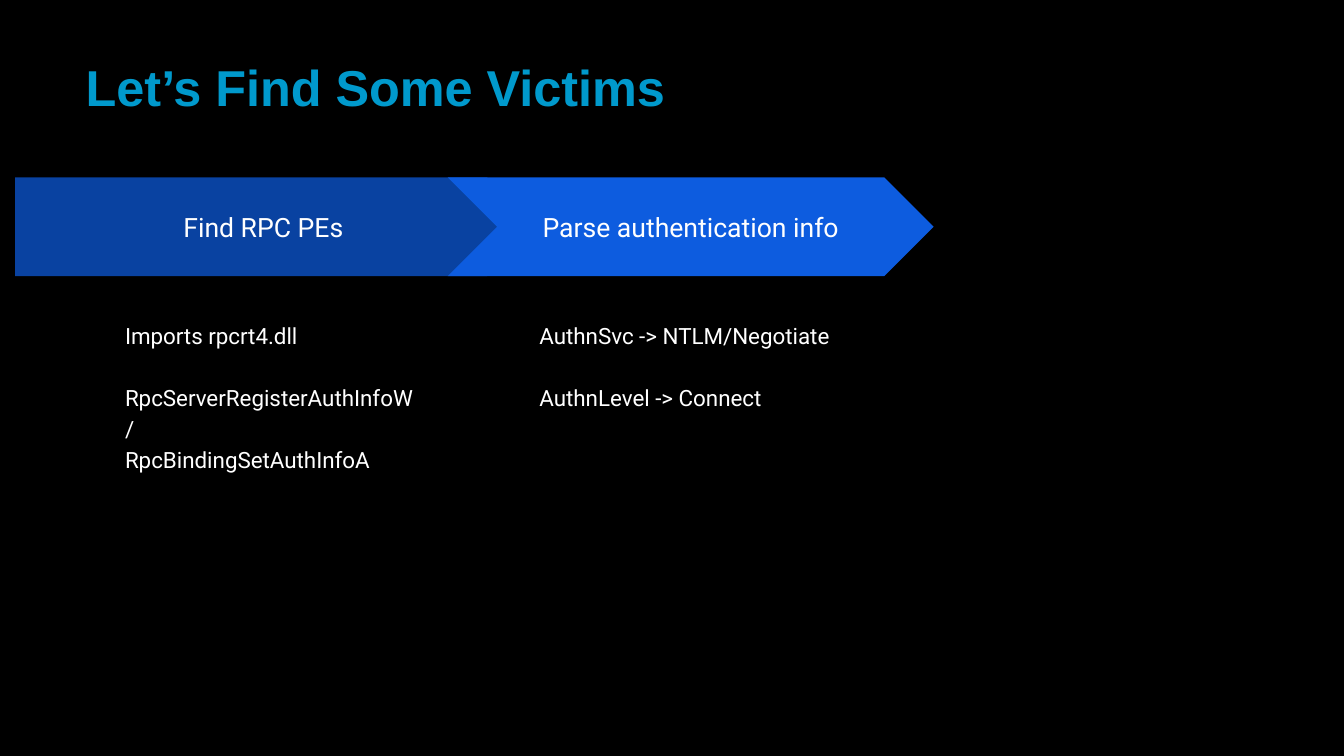
"""Builds the slide that lists the steps for finding RPC targets."""
from dataclasses import dataclass

from lxml.etree import SubElement
from pptx import Presentation
from pptx.dml.color import RGBColor
from pptx.enum.shapes import MSO_SHAPE as Shape
from pptx.enum.text import MSO_ANCHOR as Anchor, MSO_AUTO_SIZE as AutoSize, PP_ALIGN as Align
from pptx.oxml.ns import qn
from pptx.util import Inches, Pt

TITLE = "Let’s Find Some Victims"
STEPS = [
    {
        "label": "Find RPC PEs",
        "shape": Shape.PENTAGON,
        "fill": "0942A1",
        "left": 0.15,
        "width": 5.17,
        "text_left": 1.11,
        "details": [["Imports rpcrt4.dll"], ["RpcServerRegisterAuthInfoW /", "RpcBindingSetAuthInfoA"]],
    },
    {
        "label": "Parse authentication info",
        "shape": Shape.CHEVRON,
        "fill": "0D5CDF",
        "left": 4.44,
        "width": 4.82,
        "text_left": 5.22,
        "details": [["AuthnSvc -> NTLM/Negotiate"], ["AuthnLevel -> Connect"]],
    },
]


@dataclass(frozen=True)
class Theme:
    """Colours, fonts and type sizes of the slide."""
    background: str = "000000"
    title: str = "0099CC"
    text: str = "FFFFFF"
    title_font: str = "Arial"
    text_font: str = "Roboto"
    title_size: int = 36
    label_size: int = 19
    detail_size: int = 16
    group_gap: int = 22


THEME = Theme()


def style_font(para, name, size, color, bold=False):
    """Format every run of a paragraph."""
    for span in para.runs:
        span.font.name = name
        span.font.size = Pt(size)
        span.font.bold = bold
        span.font.color.rgb = RGBColor.from_string(color)


def place(box, left, top, width, height):
    """Move and size a shape, in inches."""
    box.left, box.top = Inches(left), Inches(top)
    box.width, box.height = Inches(width), Inches(height)


def set_frame(frame, inset, anchor):
    """Set the margins, anchor and wrapping of a text frame."""
    frame.margin_left = frame.margin_right = Inches(inset)
    frame.margin_top = frame.margin_bottom = Inches(inset)
    frame.vertical_anchor = anchor
    frame.word_wrap = True
    frame.auto_size = AutoSize.NONE


def add_title(page):
    """Fill the title placeholder."""
    title = page.shapes.title
    place(title, 0.75, 0.61, 12.17, 0.5)
    set_frame(title.text_frame, 0.1, Anchor.MIDDLE)
    title.text_frame.text = TITLE
    para = title.text_frame.paragraphs[0]
    para.alignment = Align.LEFT
    style_font(para, THEME.title_font, THEME.title_size, THEME.title, bold=True)


def add_arrow(page, step):
    """Draw the arrow that names a step."""
    arrow = page.shapes.add_shape(
        step["shape"], Inches(step["left"]), Inches(1.76), Inches(step["width"]), Inches(0.98))
    arrow.adjustments[0] = 0.5
    arrow.shadow.inherit = False
    arrow.fill.solid()
    arrow.fill.fore_color.rgb = RGBColor.from_string(step["fill"])
    arrow.line.fill.background()
    set_frame(arrow.text_frame, 0.13, Anchor.MIDDLE)
    arrow.text_frame.text = step["label"]
    para = arrow.text_frame.paragraphs[0]
    para.alignment = Align.CENTER
    style_font(para, THEME.text_font, THEME.label_size, THEME.text)


def fill_details(box, step):
    """Write the details of a step, with a gap between groups."""
    place(box, step["text_left"], 3.03, 3.26, 3.81)
    frame = box.text_frame
    set_frame(frame, 0.13, Anchor.TOP)
    groups = step["details"]
    frame.text = "\n".join(line for group in groups for line in group)
    starts_group = [index == 0 for group in groups for index in range(len(group))]
    for number, (para, starts) in enumerate(zip(frame.paragraphs, starts_group)):
        properties = para._p.get_or_add_pPr()
        properties.set("marL", "0")
        properties.set("indent", "0")
        SubElement(properties, qn("a:buNone"))
        para.line_spacing = 1.15
        para.space_before = Pt(THEME.group_gap if starts and number else 0)
        style_font(para, THEME.text_font, THEME.detail_size, THEME.text)


def main():
    """Build and save the deck."""
    deck = Presentation()
    deck.slide_width, deck.slide_height = Inches(13.33), Inches(7.5)
    page = deck.slides.add_slide(deck.slide_layouts.get_by_name("Two Content"))
    page.background.fill.solid()
    page.background.fill.fore_color.rgb = RGBColor.from_string(THEME.background)
    add_title(page)
    for number, step in enumerate(STEPS, start=1):
        add_arrow(page, step)
        fill_details(page.placeholders[number], step)
    deck.save("out.pptx")


if __name__ == "__main__":
    main()
